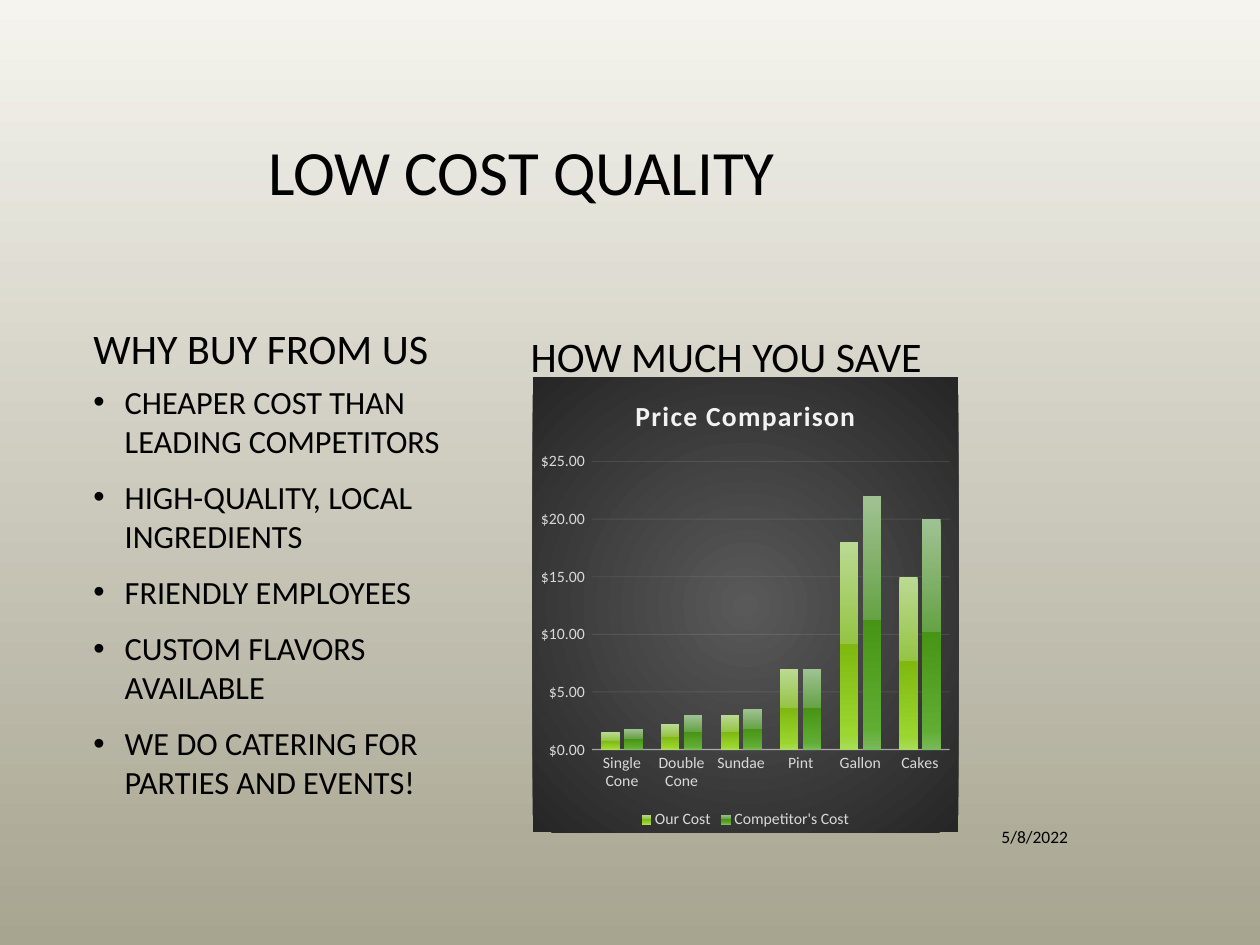
from dataclasses import dataclass

from lxml import etree
from pptx import Presentation
from pptx import util as u
from pptx.chart import data
from pptx.dml import color
from pptx.enum import chart as charts
from pptx.enum import text
from pptx.oxml import ns


@dataclass(frozen=True)
class Theme:
    font: str = "Calibri"
    ink: str = "000000"
    pale: str = "F2F2F2"
    label: str = "D9D9D9"
    back: tuple = ("F5F4EE", "A7A490")
    panel: tuple = ((0, "595959"), (100, "262626"))
    lime: tuple = ((0, "BBDA93"), (49, "95C444"), (49, "7FB90F"),
                   (92, "9AD530"), (100, "A8DD58"))
    green: tuple = ((0, "A0C293"), (49, "66A245"), (49, "489415"),
                    (92, "61AD34"), (100, "7AB95C"))
    title: float = 48
    head: float = 32
    body: float = 24.6
    date: float = 13.3
    gap: float = 13.3
    chart: float = 21
    axis: float = 12


def rgb(code):
    return color.RGBColor.from_string(code)


def node(parent, tag, **attrs):
    item = etree.SubElement(parent, ns.qn(tag))
    for key, value in attrs.items():
        item.set(key, str(value))
    return item


def blend(parent, stops, round=False):
    grad = node(parent, "a:gradFill", rotWithShape=1)
    group = node(grad, "a:gsLst")
    for place, code in stops:
        stop = node(group, "a:gs", pos=place * 1000)
        node(stop, "a:srgbClr", val=code)
    if round:
        shade = node(grad, "a:path", path="circle")
        node(shade, "a:fillToRect", l=50000, t=50000, r=50000, b=50000)
    else:
        node(grad, "a:lin", ang=5400000, scaled=0)


class Deck:
    def __init__(self, theme):
        self.theme = theme
        self.show = Presentation()
        self.show.slide_width = u.Cm(33.83)
        self.show.slide_height = u.Cm(25.37)
        self.slide = self.show.slides.add_slide(self.show.slide_layouts[6])
        fill = self.slide.background.fill
        fill.gradient()
        fill.gradient_angle = 270
        for stop, code in zip(fill.gradient_stops, theme.back):
            stop.color.rgb = rgb(code)

    def style(self, font, size, code, bold=False):
        font.name = self.theme.font
        font.size = u.Pt(size)
        font.bold = bold
        font.color.rgb = rgb(code)

    def words(self, box, lines, size, anchor, align=None, space=None, gap=0, dots=False):
        frame = self.slide.shapes.add_textbox(*map(u.Cm, box)).text_frame
        frame.word_wrap = True
        frame.vertical_anchor = anchor
        frame.text = "\n".join(lines)
        for para in frame.paragraphs:
            para.alignment = align
            para.line_spacing = space
            para.space_before = u.Pt(gap)
            for run in para.runs:
                self.style(run.font, size, self.theme.ink)
            if dots:
                props = para._p.get_or_add_pPr()
                props.set("marL", str(u.Cm(0.84)))
                props.set("indent", str(-u.Cm(0.84)))
                node(props, "a:buFont", typeface="Arial")
                node(props, "a:buChar", char="•")

    def head(self, box, line):
        self.words(box, [line], self.theme.head, text.MSO_ANCHOR.BOTTOM,
                   space=1.2, gap=self.theme.gap)

    def rule(self, line, width, alpha):
        line.width = u.Pt(width)
        line.color.rgb = rgb(self.theme.pale)
        tint = line._get_or_add_ln().find(".//" + ns.qn("a:srgbClr"))
        node(tint, "a:alpha", val=alpha * 1000)

    def bars(self, box, title, names, rows):
        theme = self.theme
        table = data.CategoryChartData(
            number_format='"$"#,##0.00_);[Red]\\("$"#,##0.00\\)')
        table.categories = names
        for name, values, stops in rows:
            table.add_series(name, values)
        chart = self.slide.shapes.add_chart(
            charts.XL_CHART_TYPE.COLUMN_CLUSTERED, *map(u.Cm, box), table).chart
        self.style(chart.font, theme.axis, theme.label)

        frame = chart.chart_title.text_frame
        frame.text = title
        run = frame.paragraphs[0].runs[0]
        self.style(run.font, theme.chart, theme.pale, True)
        run._r.get_or_add_rPr().set("spc", "100")
        chart.chart_title.include_in_layout = False

        chart.has_legend = True
        chart.legend.position = charts.XL_LEGEND_POSITION.BOTTOM
        chart.legend.include_in_layout = False
        self.style(chart.legend.font, theme.axis, theme.label)

        for axis in (chart.category_axis, chart.value_axis):
            axis.major_tick_mark = charts.XL_TICK_MARK.NONE
            axis.minor_tick_mark = charts.XL_TICK_MARK.NONE
            self.style(axis.tick_labels.font, theme.axis, theme.label)
        self.rule(chart.category_axis.format.line, 1, 54)
        scale = chart.value_axis
        scale.minimum_scale, scale.maximum_scale, scale.major_unit = 0, 25, 5
        scale.format.line.fill.background()
        self.rule(scale.major_gridlines.format.line, 0.75, 10)

        plot = chart.plots[0]
        plot.gap_width, plot.overlap = 100, -24
        plot.vary_by_categories = False
        for bar, (name, values, stops) in zip(plot.series, rows):
            bar.invert_if_negative = False
            blend(bar._element.get_or_add_spPr(), stops)

        root = chart._chartSpace
        panel = etree.Element(ns.qn("c:spPr"))
        blend(panel, theme.panel, round=True)
        node(node(panel, "a:ln"), "a:noFill")
        root.find(ns.qn("c:chart")).addnext(panel)

        area = root.find(".//" + ns.qn("c:plotArea"))
        for old in area.findall(ns.qn("c:layout")):
            area.remove(old)
        layout = etree.Element(ns.qn("c:layout"))
        area.insert(0, layout)
        manual = node(layout, "c:manualLayout")
        for tag, value in (("layoutTarget", "inner"), ("xMode", "edge"),
                           ("yMode", "edge"), ("x", 0.14), ("y", 0.185),
                           ("w", 0.84), ("h", 0.633)):
            node(manual, "c:" + tag, val=value)


def main():
    theme = Theme()
    deck = Deck(theme)
    left, top, wide, high = 2.26, 10.13, 11.43, 12.22
    deck.words((left, 2.26, 23.5, 4.88), ["LOW COST QUALITY"], theme.title,
               text.MSO_ANCHOR.MIDDLE, text.PP_ALIGN.CENTER, 0.9)
    deck.head((left, 8, wide, 2.13), "WHY BUY FROM US")
    deck.words((left, top, wide, high), [
        "CHEAPER COST THAN LEADING COMPETITORS",
        "HIGH-QUALITY, LOCAL INGREDIENTS",
        "FRIENDLY EMPLOYEES",
        "CUSTOM FLAVORS AVAILABLE",
        "WE DO CATERING FOR PARTIES AND EVENTS!",
    ], theme.body, text.MSO_ANCHOR.TOP, gap=theme.gap, dots=True)
    deck.head((14, 8.23, 11.35, 2.13), "HOW MUCH YOU SAVE")
    deck.bars((14.3, top, wide, high), "Price Comparison",
              ["Single Cone", "Double Cone", "Sundae", "Pint", "Gallon", "Cakes"],
              [("Our Cost", (1.5, 2.2, 3, 7, 18, 15), theme.lime),
               ("Competitor's Cost", (1.8, 3, 3.5, 7, 22, 20), theme.green)])
    deck.words((21.31, 21.77, 7.62, 1.35), ["5/8/2022"], theme.date,
               text.MSO_ANCHOR.MIDDLE, text.PP_ALIGN.RIGHT)
    deck.show.save("out.pptx")


if __name__ == "__main__":
    main()
